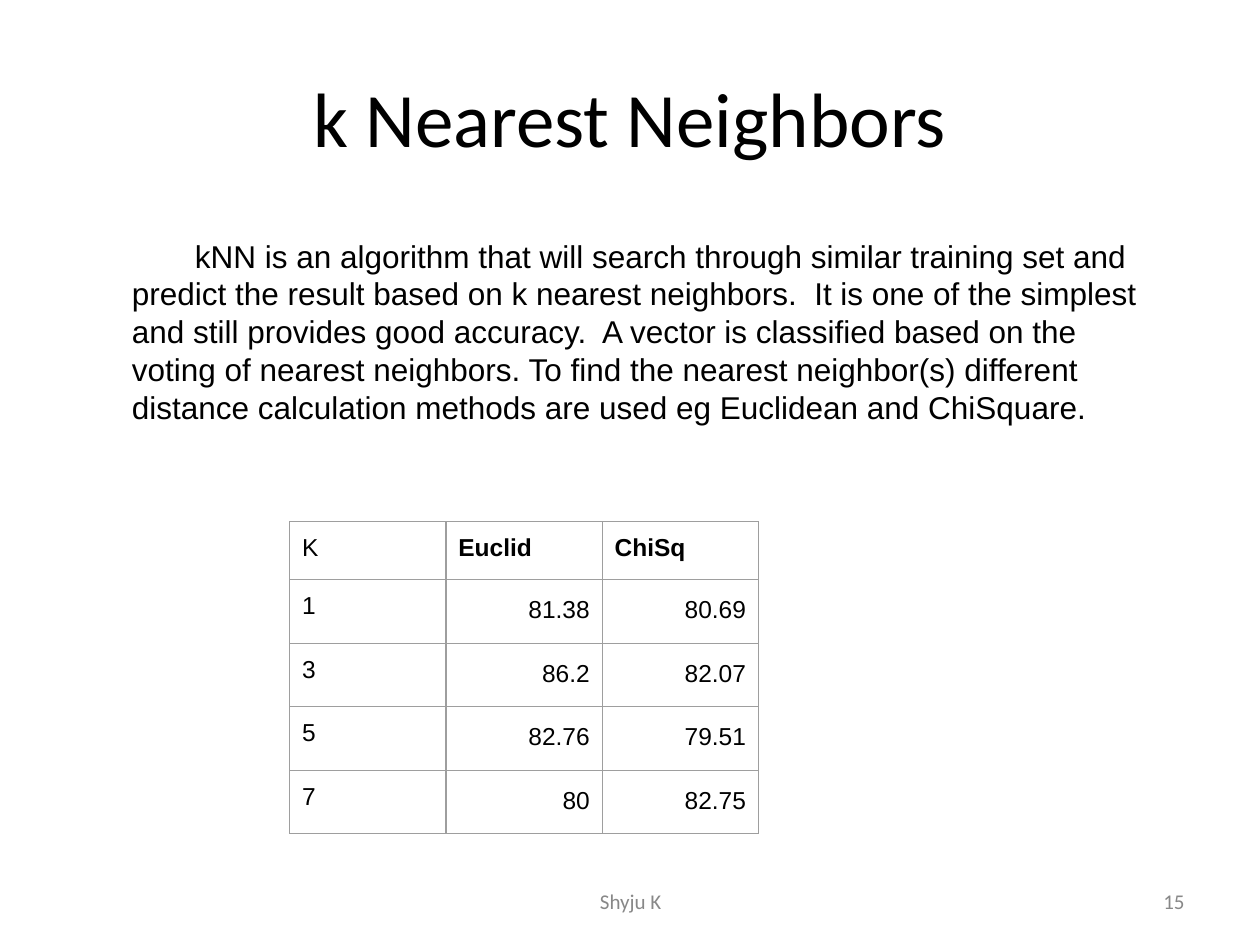
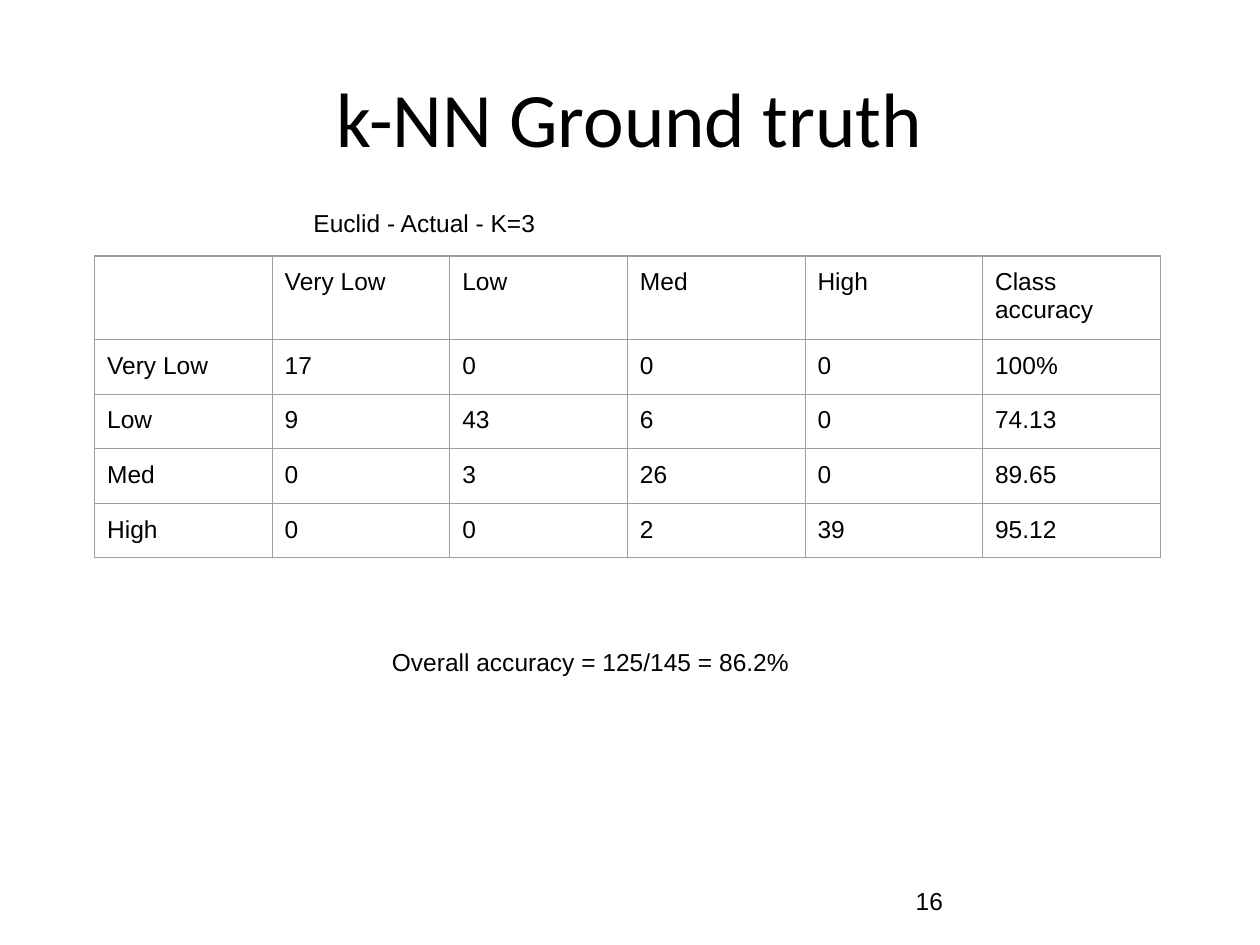
"""Build two slides on k nearest neighbours: method comparison and ground truth."""
from dataclasses import dataclass

from lxml import etree
from pptx import Presentation
from pptx.dml.color import RGBColor
from pptx.enum.text import MSO_ANCHOR, PP_ALIGN
from pptx.oxml.ns import qn
from pptx.slide import Slide
from pptx.text.text import _Paragraph
from pptx.util import Cm, Pt

LEFT, CENTER, RIGHT = PP_ALIGN.LEFT, PP_ALIGN.CENTER, PP_ALIGN.RIGHT
TOP, MIDDLE = MSO_ANCHOR.TOP, MSO_ANCHOR.MIDDLE
BLANK_LAYOUT = 6
INSET = Cm(0.25)
BORDER_SIDES = ("a:lnL", "a:lnR", "a:lnT", "a:lnB")


@dataclass(frozen=True)
class TextStyle:
    """Font, size and colour of a kind of text."""
    font: str
    size: float
    color: str


@dataclass(frozen=True)
class Theme:
    """Colours and type styles shared by the slides."""
    background: str = "FFFFFF"
    border: str = "9E9E9E"
    border_width: float = 0.75
    title: TextStyle = TextStyle("Calibri", 44, "000000")
    body: TextStyle = TextStyle("Arial", 18, "000000")
    small: TextStyle = TextStyle("Arial", 14, "000000")
    footer: TextStyle = TextStyle("Calibri", 12, "888888")


THEME = Theme()


@dataclass(frozen=True)
class Box:
    """Left, top, width and height in centimetres."""
    left: float
    top: float
    width: float
    height: float


@dataclass(frozen=True)
class Label:
    """A text box with its place and look."""
    text: str
    box: Box
    style: TextStyle
    align: PP_ALIGN = LEFT
    anchor: MSO_ANCHOR = TOP
    first_line: float = 0


@dataclass(frozen=True)
class Grid:
    """A bordered table with equal columns and equal rows below its header."""
    rows: tuple[tuple[str, ...], ...]
    left: float
    top: float
    column_width: float
    header_height: float
    row_height: float
    is_score_table: bool = False


TITLE_BOX = Box(1.27, 0.76, 22.86, 3.18)
FOOTER_BOX = Box(8.69, 17.65, 8.05, 1.02)
NUMBER_BOX = Box(18.21, 17.65, 5.92, 1.02)

METHOD_SUMMARY = (
    "kNN is an algorithm that will search through similar training set and "
    "predict the result based on k nearest neighbors.  It is one of the simplest "
    "and still provides good accuracy.  A vector is classified based on the "
    "voting of nearest neighbors. To find the nearest neighbor(s) different "
    "distance calculation methods are used eg Euclidean and ChiSquare."
)

DISTANCE_SCORES = Grid(
    (
        ("K", "Euclid", "ChiSq"),
        ("1", "81.38", "80.69"),
        ("3", "86.2", "82.07"),
        ("5", "82.76", "79.51"),
        ("7", "80", "82.75"),
    ),
    left=5.84, top=10.52, column_width=3.15,
    header_height=1.17, row_height=1.28, is_score_table=True,
)

CONFUSION_MATRIX = Grid(
    (
        ("", "Very Low", "Low", "Med", "High", "Class accuracy"),
        ("Very Low", "17", "0", "0", "0", "100%"),
        ("Low", "9", "43", "6", "0", "74.13"),
        ("Med", "0", "3", "26", "0", "89.65"),
        ("High", "0", "0", "2", "39", "95.12"),
    ),
    left=1.91, top=5.16, column_width=3.58,
    header_height=1.64, row_height=1.1,
)

SLIDES = (
    (
        "k Nearest Neighbors",
        DISTANCE_SCORES,
        (
            Label(METHOD_SUMMARY, Box(2.41, 4.52, 20.9, 4.42), THEME.body, first_line=1.27),
            Label("Shyju K", FOOTER_BOX, THEME.footer, CENTER, MIDDLE),
            Label("15", NUMBER_BOX, THEME.footer, RIGHT, MIDDLE),
        ),
    ),
    (
        "k-NN Ground truth",
        CONFUSION_MATRIX,
        (
            Label("Euclid - Actual - K=3", Box(6.07, 3.94, 6.55, 0.64), THEME.small),
            Label("Overall accuracy = 125/145 = 86.2%", Box(7.65, 12.8, 9.42, 1.35), THEME.small),
            Label("16", NUMBER_BOX, THEME.small, LEFT, MIDDLE),
        ),
    ),
)


def style_paragraph(paragraph: _Paragraph, style: TextStyle, align: PP_ALIGN, bold: bool = False) -> None:
    """Apply a text style and alignment to a paragraph and its runs."""
    paragraph.alignment = align
    for run in paragraph.runs:
        run.font.name = style.font
        run.font.size = Pt(style.size)
        run.font.bold = bold
        run.font.color.rgb = RGBColor.from_string(style.color)


def draw_label(slide: Slide, label: Label) -> None:
    """Draw a text box."""
    box = label.box
    frame = slide.shapes.add_textbox(Cm(box.left), Cm(box.top), Cm(box.width), Cm(box.height)).text_frame
    frame.word_wrap = True
    frame.vertical_anchor = label.anchor
    frame.margin_left = frame.margin_right = INSET
    frame.margin_top = frame.margin_bottom = INSET if label.anchor == TOP else INSET // 2
    frame.text = label.text
    paragraph = frame.paragraphs[0]
    style_paragraph(paragraph, label.style, label.align)
    if label.first_line:
        paragraph._p.get_or_add_pPr().set("indent", str(Cm(label.first_line)))


def add_borders(cell) -> None:
    """Draw a thin line on each side of a cell."""
    properties = cell._tc.get_or_add_tcPr()
    for position, side in enumerate(BORDER_SIDES):
        line = etree.Element(qn(side), w=str(Pt(THEME.border_width)))
        fill = etree.SubElement(line, qn("a:solidFill"))
        etree.SubElement(fill, qn("a:srgbClr"), val=THEME.border)
        properties.insert(position, line)


def draw_grid(slide: Slide, grid: Grid) -> None:
    """Draw a table; score tables have bold headings and right-aligned values."""
    row_count, column_count = len(grid.rows), len(grid.rows[0])
    width = grid.column_width * column_count
    height = grid.header_height + grid.row_height * (row_count - 1)
    table = slide.shapes.add_table(
        row_count, column_count, Cm(grid.left), Cm(grid.top), Cm(width), Cm(height)
    ).table
    table.first_row = table.horz_banding = False
    for column in table.columns:
        column.width = Cm(grid.column_width)
    for row_index, values in enumerate(grid.rows):
        is_header = row_index == 0
        table.rows[row_index].height = Cm(grid.header_height if is_header else grid.row_height)
        for column_index, value in enumerate(values):
            cell = table.cell(row_index, column_index)
            cell.fill.background()
            add_borders(cell)
            cell.margin_left = cell.margin_right = cell.margin_top = cell.margin_bottom = INSET
            cell.text = value
            paragraph = cell.text_frame.paragraphs[0]
            in_score_column = grid.is_score_table and column_index > 0
            is_score = in_score_column and not is_header
            style_paragraph(
                paragraph, THEME.small, RIGHT if is_score else LEFT, bold=in_score_column and is_header
            )
            if is_score:
                paragraph.line_spacing = 1.15


def main() -> None:
    """Build and save the presentation."""
    presentation = Presentation()
    presentation.slide_width, presentation.slide_height = Cm(25.4), Cm(19.05)
    for title, grid, labels in SLIDES:
        slide = presentation.slides.add_slide(presentation.slide_layouts[BLANK_LAYOUT])
        slide.background.fill.solid()
        slide.background.fill.fore_color.rgb = RGBColor.from_string(THEME.background)
        draw_label(slide, Label(title, TITLE_BOX, THEME.title, CENTER, MIDDLE))
        draw_grid(slide, grid)
        for label in labels:
            draw_label(slide, label)
    presentation.save("out.pptx")


if __name__ == "__main__":
    main()
